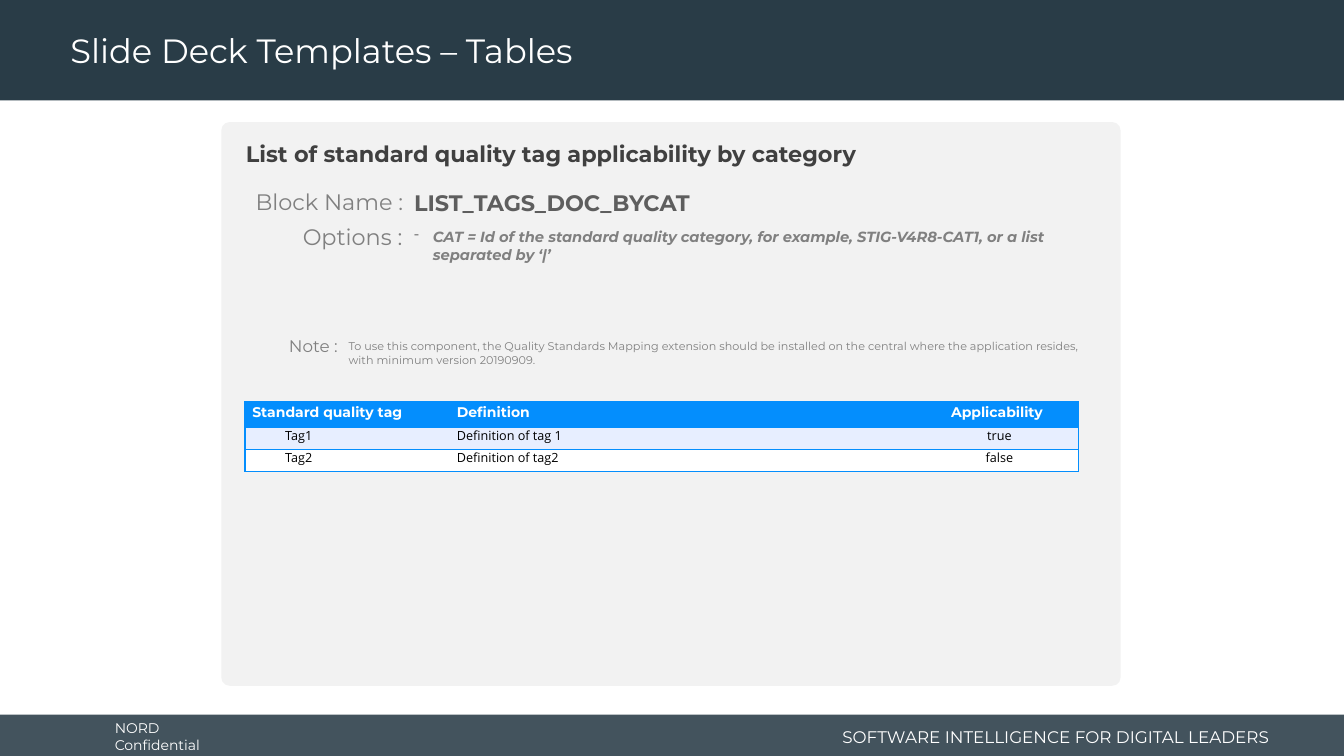
from lxml import etree
from pptx import Presentation
from pptx.dml.color import RGBColor
from pptx.enum import shapes, text
from pptx.oxml.ns import qn
from pptx.util import Pt

MID, TOP = text.MSO_ANCHOR.MIDDLE, text.MSO_ANCHOR.TOP
LEFT, MIDDLE, RIGHT = text.PP_ALIGN.LEFT, text.PP_ALIGN.CENTER, text.PP_ALIGN.RIGHT
GREY, WHITE, BLUE, NAVY = "808080", "FFFFFF", "048EFD", "293C47"


def paint(fill, color):
    fill.solid()
    fill.fore_color.rgb = RGBColor.from_string(color)


def write(frame, words, size=16, color=GREY, font="Montserrat", bold=False,
          italic=False, align=LEFT, anchor=TOP, wrap=True, line=None, bullet=None):
    frame.word_wrap = wrap
    frame.vertical_anchor = anchor
    par = frame.paragraphs[0]
    par.alignment = align
    if line:
        par.line_spacing = line
    if bullet:
        props = par._p.get_or_add_pPr()
        props.set("marL", str(Pt(13.5)))
        props.set("indent", str(-Pt(13.5)))
        etree.SubElement(props, qn("a:buChar")).set("char", bullet)
    run = par.add_run()
    run.text = words
    run.font.name, run.font.size = font, Pt(size)
    run.font.bold, run.font.italic = bold, italic
    paint(run.font.fill, color)


prs = Presentation()
prs.slide_width, prs.slide_height = Pt(960), Pt(540)
slide = prs.slides.add_slide(prs.slide_layouts[6])

RECT, ROUND = shapes.MSO_SHAPE.RECTANGLE, shapes.MSO_SHAPE.ROUNDED_RECTANGLE
panels = [
    (RECT, 0, 510.5, 960, 31.5, NAVY, 88),
    (RECT, 0, 0, 960, 71.75, NAVY, 100),
    (ROUND, 158.1, 87.2, 642.4, 402.7, "F2F2F2", 100),
]
for kind, x, y, w, h, color, solid in panels:
    panel = slide.shapes.add_shape(kind, Pt(x), Pt(y), Pt(w), Pt(h))
    panel.shadow.inherit = False
    panel.line.fill.background()
    paint(panel.fill, color)
    if kind == ROUND:
        panel.adjustments[0] = 0.015
    if solid < 100:
        tint = panel._element.spPr.find(".//" + qn("a:srgbClr"))
        etree.SubElement(tint, qn("a:alpha")).set("val", str(solid * 1000))

label = dict(align=RIGHT, wrap=False)
boxes = [
    (74.9, 511.9, 106.6, 28.8, "NORD Confidential",
     dict(size=10, color=WHITE, anchor=MID, wrap=False)),
    (583.9, 514.8, 329.8, 23, "SOFTWARE INTELLIGENCE FOR DIGITAL LEADERS",
     dict(size=12, color=WHITE, anchor=MID, align=RIGHT)),
    (161.3, 96.5, 634.3, 26.6, "List of standard quality tag applicability by category",
     dict(color="404040", bold=True)),
    (288.7, 131.8, 522, 26.6, "LIST_TAGS_DOC_BYCAT", dict(color="5E5E5E", bold=True)),
    (175, 130.5, 120.2, 26.6, "Block Name :", label),
    (288.7, 159.1, 514.1, 32.4,
     "CAT = Id of the standard quality category, for example, "
     "STIG-V4R8-CAT1, or a list separated by ‘|’",
     dict(size=10.5, bold=True, italic=True, bullet="-")),
    (207.4, 156.2, 87.1, 26.6, "Options :", label),
    (241.9, 239, 550.8, 26.6,
     "To use this component, the Quality Standards Mapping extension should be installed "
     "on the central where the application resides, with minimum version 20190909.",
     dict(size=8)),
    (198, 236.2, 50.4, 21.6, "Note :", dict(label, size=12)),
    (43.2, 2.9, 689.8, 69.1, "Slide Deck Templates – Tables",
     dict(size=24, color=WHITE, anchor=MID, line=0.9)),
]
for x, y, w, h, words, style in boxes:
    box = slide.shapes.add_textbox(Pt(x), Pt(y), Pt(w), Pt(h))
    write(box.text_frame, words, **style)
    if words.startswith("List of"):
        box.text_frame.margin_left = box.text_frame.margin_right = Pt(14.4)

rows = [
    ("Standard quality tag", "Definition", "Applicability"),
    ("Tag1", "Definition of tag 1", "true"),
    ("Tag2", "Definition of tag2", "false"),
]
fills = [BLUE, "E7EEFF", WHITE]
table = slide.shapes.add_table(3, 3, Pt(175), Pt(287), Pt(595.4), Pt(49.7)).table
table.first_row = table.horz_banding = False
for col, width in zip(table.columns, (146.2, 332.6, 116.6)):
    col.width = Pt(width)
for row, height in zip(table.rows, (18.3, 15.7, 15.7)):
    row.height = Pt(height)

for r, row in enumerate(rows):
    for c, words in enumerate(row):
        cell = table.cell(r, c)
        cell.margin_left = cell.margin_right = Pt(5.2)
        cell.margin_top = cell.margin_bottom = 0
        props = cell._tc.get_or_add_tcPr()
        for side, shown in (("L", c == 0), ("R", c == 2), ("T", True), ("B", True)):
            edge = etree.SubElement(props, qn("a:ln" + side), w=str(Pt(1)))
            if shown:
                ink = etree.SubElement(edge, qn("a:solidFill"))
                etree.SubElement(ink, qn("a:srgbClr"), val=BLUE)
            else:
                etree.SubElement(edge, qn("a:noFill"))
        paint(cell.fill, fills[r])
        align = MIDDLE if c == 2 else LEFT
        if r == 0:
            write(cell.text_frame, words, size=10, color=WHITE, bold=True,
                  align=align, line=1.15)
        else:
            write(cell.text_frame, words, size=9, color="000000", font="Open Sans",
                  align=align, line=Pt(12))
            indent = (23.5, 0, 3.6)[c]
            cell.text_frame.paragraphs[0]._p.get_or_add_pPr().set("marL", str(Pt(indent)))

prs.save("out.pptx")
